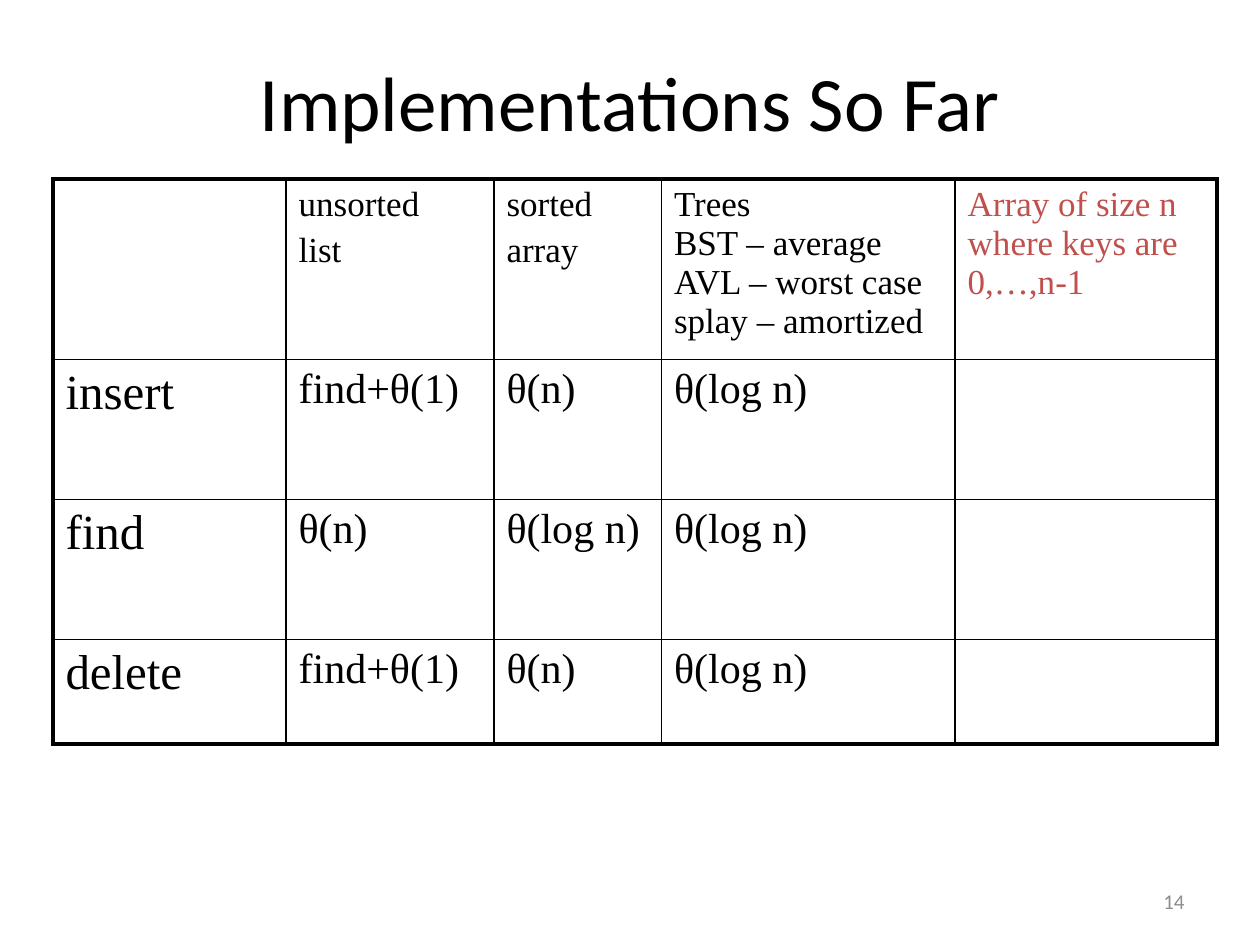
from pptx import Presentation
from pptx.dml.color import RGBColor
from pptx.enum.text import MSO_ANCHOR, PP_ALIGN
from pptx.oxml.ns import qn
from pptx.util import Inches, Pt
from lxml.etree import SubElement

# Content
TITLE = "Implementations So Far"
PAGE_NUMBER = "14"
# Each cell is a list of paragraphs; "\n" is a line break inside one
ROWS = [
    [[], ["unsorted", "list"], ["sorted", "array"],
     ["Trees\nBST – average\nAVL – worst case\nsplay – amortized"],
     ["Array of size n where keys are 0,…,n-1"]],
    [["insert"], ["find+θ(1)"], ["θ(n)"], ["θ(log n)"], []],
    [["find"], ["θ(n)"], ["θ(log n)"], ["θ(log n)"], []],
    [["delete"], ["find+θ(1)"], ["θ(n)"], ["θ(log n)"], []],
]
COLUMN_WIDTHS = [1.85, 1.65, 1.33, 2.33, 2.08]
ROW_HEIGHTS = [1.33, 1.11, 1.11, 0.83]
COLORS = {"text": "000000", "accent": "C0504D", "number": "8C8C8C", "border": "000000"}
HEADER_SIZE, LABEL_SIZE, VALUE_SIZE = 20, 28, 24
OUTER_LINE, INNER_LINE = 2.25, 1


def add_text(paragraph, text, font_name, size, color):
    for index, line in enumerate(text.split("\n")):
        if index:
            paragraph.add_line_break()
        run = paragraph.add_run()
        run.text = line
        run.font.name = font_name
        run.font.size = Pt(size)
        run.font.color.rgb = RGBColor.from_string(COLORS[color])


def add_text_box(slide, bounds, text, size, color, alignment):
    shape = slide.shapes.add_textbox(*(Inches(value) for value in bounds))
    frame = shape.text_frame
    frame.word_wrap = True
    frame.vertical_anchor = MSO_ANCHOR.MIDDLE
    paragraph = frame.paragraphs[0]
    paragraph.alignment = alignment
    add_text(paragraph, text, "Calibri", size, color)


def set_borders(cell, outer_sides):
    properties = cell._tc.get_or_add_tcPr()
    for side, is_outer in outer_sides.items():
        width = Pt(OUTER_LINE if is_outer else INNER_LINE)
        line = SubElement(properties, qn(f"a:ln{side}"), w=str(width))
        fill = SubElement(line, qn("a:solidFill"))
        SubElement(fill, qn("a:srgbClr"), val=COLORS["border"])


def fill_cell(cell, paragraphs, size, color):
    frame = cell.text_frame
    for index, text in enumerate(paragraphs):
        paragraph = frame.add_paragraph() if index else frame.paragraphs[0]
        if index:
            paragraph.space_before = Pt(size * 0.2)
        add_text(paragraph, text, "Times New Roman", size, color)


def add_comparison_table(slide):
    row_count, column_count = len(ROWS), len(COLUMN_WIDTHS)
    table = slide.shapes.add_table(
        row_count, column_count, Inches(0.42), Inches(1.42),
        Inches(sum(COLUMN_WIDTHS)), Inches(sum(ROW_HEIGHTS))).table
    table.first_row = table.horz_banding = False
    for column, width in zip(table.columns, COLUMN_WIDTHS):
        column.width = Inches(width)
    for row, height in zip(table.rows, ROW_HEIGHTS):
        row.height = Inches(height)

    last_row, last_column = row_count - 1, column_count - 1
    for r, row in enumerate(ROWS):
        for c, paragraphs in enumerate(row):
            cell = table.cell(r, c)
            size = HEADER_SIZE if r == 0 else LABEL_SIZE if c == 0 else VALUE_SIZE
            color = "accent" if c == last_column else "text"
            fill_cell(cell, paragraphs, size, color)
            set_borders(cell, {"L": c == 0, "R": c == last_column,
                               "T": r == 0, "B": r == last_row})
            cell.fill.background()


def main():
    presentation = Presentation()
    presentation.slide_width = Inches(10)
    presentation.slide_height = Inches(7.5)
    slide = presentation.slides.add_slide(presentation.slide_layouts[6])

    # Page number and title
    add_text_box(slide, (7.17, 6.95, 2.33, 0.4), PAGE_NUMBER, 12, "number", PP_ALIGN.RIGHT)
    add_text_box(slide, (0.75, 0.17, 8.5, 1.25), TITLE, 44, "text", PP_ALIGN.CENTER)

    # Running times of each operation
    add_comparison_table(slide)
    presentation.save("out.pptx")


if __name__ == "__main__":
    main()
